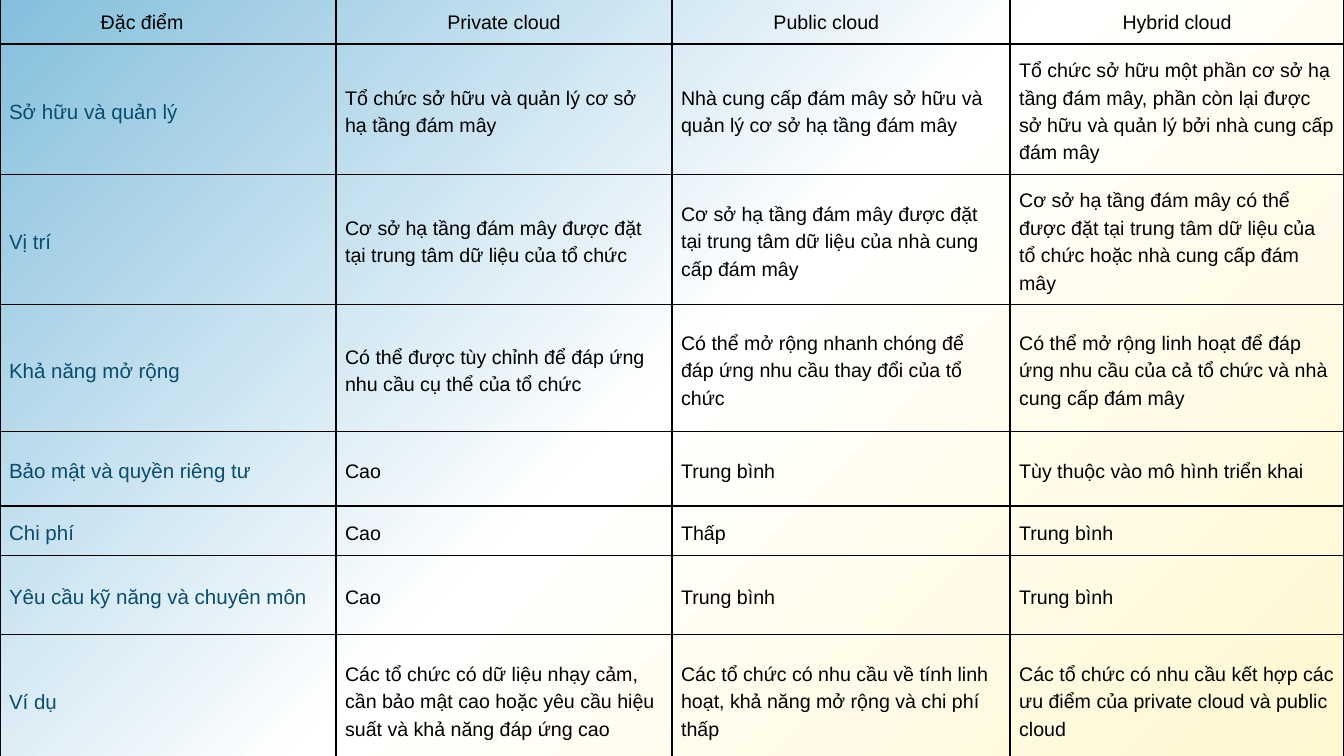
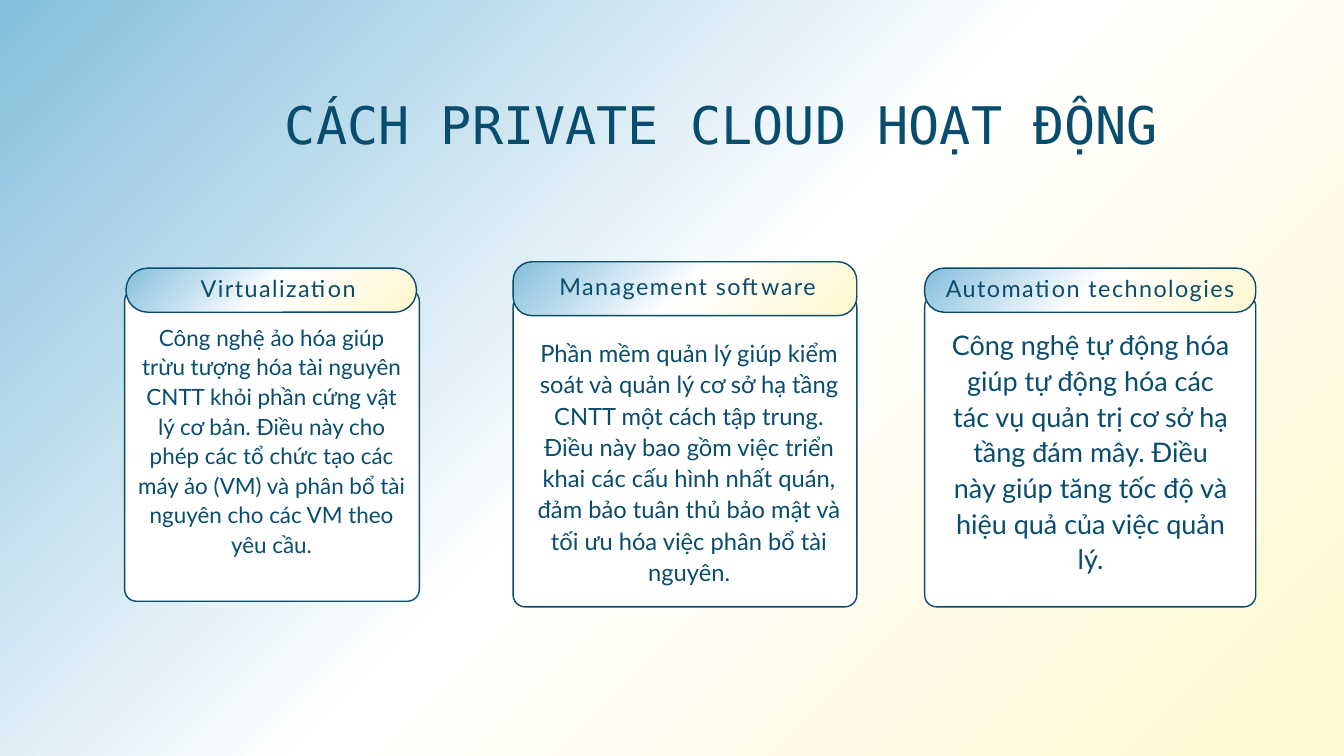
from dataclasses import dataclass

from pptx import Presentation
from pptx.dml.color import RGBColor
from pptx.enum.shapes import MSO_SHAPE as Shape
from pptx.enum.text import MSO_ANCHOR as Anchor, MSO_AUTO_SIZE as AutoSize, PP_ALIGN as Align
from pptx.oxml import parse_xml
from pptx.oxml.ns import nsdecls, qn
from pptx.util import Emu, Pt

# Shared look
EMU_PER_PX = 9525
PAGE_W, PAGE_H = 1920, 1080
NAVY, BLACK, WHITE = "084C6E", "000000", "FFFFFF"
GRADIENT_STOPS = ((0, "84BFDD"), (50, WHITE), (100, "FFF7CF"))
LINE_PT = 1.5
TITLE_ONLY, BLANK = 5, 6
CELL_MARGIN = 13
CARD_RADIUS = 17
HEADING_LIFT = 17  # heading boxes start this far above their banner


@dataclass(frozen=True)
class TextStyle:
    font: str
    size: float
    leading: float
    color: str = NAVY
    align: Align = Align.CENTER
    tracking: float = 0


@dataclass(frozen=True)
class Area:
    left: int
    top: int
    width: int
    height: int

    def emu(self) -> list[Emu]:
        return [px(value) for value in (self.left, self.top, self.width, self.height)]


@dataclass(frozen=True)
class Card:
    heading: str
    heading_inset: int
    banner: Area
    banner_radius: int
    panel: Area
    body: str
    body_area: Area
    body_style: TextStyle


TITLE = TextStyle("DejaVu Sans Mono", 55.5, 66.6)
HEADING = TextStyle("Lato", 25, 37.5, tracking=1.6)
COLUMN_HEAD = TextStyle("Arial", 21, 29.4, BLACK)
ROW_HEAD = TextStyle("Arial", 22, 30.8, align=Align.LEFT)
CELL = TextStyle("Arial", 21, 29.4, BLACK, Align.LEFT)

# Comparison table
COLUMN_WIDTHS = (480, 480, 483, 477)
ROW_HEIGHTS = (69, 186, 186, 182, 106, 71, 112, 186)
HEAD_RIGHT_INSETS = (74, 0, 42, 0)
TABLE_AREA = Area(0, -6, sum(COLUMN_WIDTHS), sum(ROW_HEIGHTS))
COMPARISON = (
    ("Đặc điểm", "Private cloud", "Public cloud", "Hybrid cloud"),
    ("Sở hữu và quản lý",
     "Tổ chức sở hữu và quản lý cơ sở hạ tầng đám mây",
     "Nhà cung cấp đám mây sở hữu và quản lý cơ sở hạ tầng đám mây",
     "Tổ chức sở hữu một phần cơ sở hạ tầng đám mây, phần còn lại được "
     "sở hữu và quản lý bởi nhà cung cấp đám mây"),
    ("Vị trí",
     "Cơ sở hạ tầng đám mây được đặt tại trung tâm dữ liệu của tổ chức",
     "Cơ sở hạ tầng đám mây được đặt tại trung tâm dữ liệu của nhà cung cấp đám mây",
     "Cơ sở hạ tầng đám mây có thể được đặt tại trung tâm dữ liệu của "
     "tổ chức hoặc nhà cung cấp đám mây"),
    ("Khả năng mở rộng",
     "Có thể được tùy chỉnh để đáp ứng nhu cầu cụ thể của tổ chức",
     "Có thể mở rộng nhanh chóng để đáp ứng nhu cầu thay đổi của tổ chức",
     "Có thể mở rộng linh hoạt để đáp ứng nhu cầu của cả tổ chức và nhà "
     "cung cấp đám mây"),
    ("Bảo mật và quyền riêng tư", "Cao", "Trung bình", "Tùy thuộc vào mô hình triển khai"),
    ("Chi phí", "Cao", "Thấp", "Trung bình"),
    ("Yêu cầu kỹ năng và chuyên môn", "Cao", "Trung bình", "Trung bình"),
    ("Ví dụ",
     "Các tổ chức có dữ liệu nhạy cảm, cần bảo mật cao hoặc yêu cầu hiệu "
     "suất và khả năng đáp ứng cao",
     "Các tổ chức có nhu cầu về tính linh hoạt, khả năng mở rộng và chi phí thấp",
     "Các tổ chức có nhu cầu kết hợp các ưu điểm của private cloud và public cloud"),
)

# Private cloud cards
CARDS = (
    Card("Virtualization", 20, Area(180, 383, 415, 63), 31, Area(178, 413, 421, 446),
         "Công nghệ ảo hóa giúp trừu tượng hóa tài nguyên CNTT khỏi phần cứng vật lý "
         "cơ bản. Điều này cho phép các tổ chức tạo các máy ảo (VM) và phân bổ tài "
         "nguyên cho các VM theo yêu cầu.",
         Area(196, 459, 384, 376), TextStyle("Lato", 24, 31.7)),
    Card("Management software", 8, Area(733, 374, 491, 77), 27, Area(733, 421, 491, 446),
         "Phần mềm quản lý giúp kiểm soát và quản lý cơ sở hạ tầng CNTT một cách tập "
         "trung. Điều này bao gồm việc triển khai các cấu hình nhất quán, đảm bảo tuân "
         "thủ bảo mật và tối ưu hóa việc phân bổ tài nguyên.",
         Area(757, 480, 455, 350), TextStyle("Lato", 25.4, 33.5)),
    Card("Automation technologies", 0, Area(1321, 383, 473, 63), 28, Area(1321, 421, 473, 446),
         "Công nghệ tự động hóa giúp tự động hóa các tác vụ quản trị cơ sở hạ tầng đám "
         "mây. Điều này giúp tăng tốc độ và hiệu quả của việc quản lý.",
         Area(1359, 465, 398, 350), TextStyle("Lato", 28.9, 38.2)),
)


# Helpers
def px(value: int) -> Emu:
    return Emu(value * EMU_PER_PX)


def rgb(color: str) -> RGBColor:
    return RGBColor.from_string(color)


def set_all(target, values: dict) -> None:
    for name, value in values.items():
        setattr(target, name, value)


def paint_gradient(fill, element) -> None:
    """Give a fill the shared gradient, spreading from the top left corner."""
    fill.gradient()
    stops = "".join(f'<a:gs pos="{pos * 1000}"><a:srgbClr val="{color}"/></a:gs>'
                    for pos, color in GRADIENT_STOPS)
    gradient = parse_xml(
        f'<a:gradFill {nsdecls("a")} rotWithShape="1"><a:gsLst>{stops}</a:gsLst>'
        '<a:path path="circle"><a:fillToRect l="0" t="0" r="100000" b="100000"/>'
        '</a:path></a:gradFill>')
    default = next(element.iter(qn("a:gradFill")))
    default.getparent().replace(default, gradient)


def write(frame, text: str, style: TextStyle) -> None:
    para = frame.paragraphs[0]
    set_all(para, {"alignment": style.align, "line_spacing": Pt(style.leading)})
    span = para.add_run()
    span.text = text
    set_all(span.font, {"name": style.font, "size": Pt(style.size), "bold": False})
    span.font.color.rgb = rgb(style.color)
    if style.tracking:
        span.font._element.set("spc", str(round(style.tracking * 100)))


def format_frame(frame, anchor: Anchor, inset: int = 0, grow: bool = False) -> None:
    set_all(frame, {
        "word_wrap": True,
        "auto_size": AutoSize.SHAPE_TO_FIT_TEXT if grow else AutoSize.NONE,
        "vertical_anchor": anchor,
        "margin_left": px(inset), "margin_top": 0, "margin_right": 0, "margin_bottom": 0,
    })


def add_text(page, area: Area, text: str, style: TextStyle, anchor: Anchor = Anchor.TOP,
             inset: int = 0, grow: bool = False) -> None:
    frame = page.shapes.add_textbox(*area.emu()).text_frame
    format_frame(frame, anchor, inset, grow)
    write(frame, text, style)


def add_rounded(page, area: Area, radius: int):
    box = page.shapes.add_shape(Shape.ROUNDED_RECTANGLE, *area.emu())
    box.adjustments[0] = radius / min(area.width, area.height)
    box.shadow.inherit = False
    box.line.color.rgb = rgb(NAVY)
    box.line.width = Pt(LINE_PT)
    return box


def add_page(deck, layout: int):
    page = deck.slides.add_slide(deck.slide_layouts[layout])
    paint_gradient(page.background.fill, page._element)
    return page


def add_borders(cell) -> None:
    properties = cell._tc.get_or_add_tcPr()
    for index, side in enumerate("LRTB"):
        properties.insert(index, parse_xml(
            f'<a:ln{side} {nsdecls("a")} w="{Pt(LINE_PT)}"><a:solidFill>'
            f'<a:srgbClr val="{BLACK}"/></a:solidFill></a:ln{side}>'))


def cell_style(row: int, column: int) -> TextStyle:
    if row == 0:
        return COLUMN_HEAD
    return ROW_HEAD if column == 0 else CELL


# Slides
def build_comparison(deck) -> None:
    page = add_page(deck, BLANK)
    table = page.shapes.add_table(len(ROW_HEIGHTS), len(COLUMN_WIDTHS),
                                  *TABLE_AREA.emu()).table
    set_all(table, {"first_row": False, "horz_banding": False})
    for column, width in zip(table.columns, COLUMN_WIDTHS):
        column.width = px(width)
    for row, height in zip(table.rows, ROW_HEIGHTS):
        row.height = px(height)
    for r, texts in enumerate(COMPARISON):
        for c, text in enumerate(texts):
            cell = table.cell(r, c)
            extra = HEAD_RIGHT_INSETS[c] if r == 0 else 0
            set_all(cell, {
                "vertical_anchor": Anchor.MIDDLE,
                "margin_left": px(CELL_MARGIN), "margin_right": px(CELL_MARGIN + extra),
                "margin_top": px(CELL_MARGIN), "margin_bottom": px(CELL_MARGIN),
            })
            cell.fill.background()
            add_borders(cell)
            write(cell.text_frame, text, cell_style(r, c))


def add_card(page, card: Card) -> None:
    panel = add_rounded(page, card.panel, CARD_RADIUS)
    panel.fill.solid()
    panel.fill.fore_color.rgb = rgb(WHITE)

    banner = add_rounded(page, card.banner, card.banner_radius)
    paint_gradient(banner.fill, banner._element)

    spot = card.banner
    heading_area = Area(spot.left, spot.top - HEADING_LIFT,
                        spot.width, spot.height + HEADING_LIFT)
    add_text(page, heading_area, card.heading, HEADING, Anchor.MIDDLE, card.heading_inset)
    add_text(page, card.body_area, card.body, card.body_style, grow=True)


def build_private_cloud(deck) -> None:
    page = add_page(deck, TITLE_ONLY)
    title = page.shapes.title
    title.left, title.top, title.width, title.height = Area(399, 132, 1265, 97).emu()
    format_frame(title.text_frame, Anchor.TOP, grow=True)
    write(title.text_frame, "CÁCH PRIVATE CLOUD HOẠT ĐỘNG", TITLE)
    for card in CARDS:
        add_card(page, card)


def main() -> None:
    deck = Presentation()
    deck.slide_width, deck.slide_height = px(PAGE_W), px(PAGE_H)
    build_comparison(deck)
    build_private_cloud(deck)
    deck.save("out.pptx")


if __name__ == "__main__":
    main()
